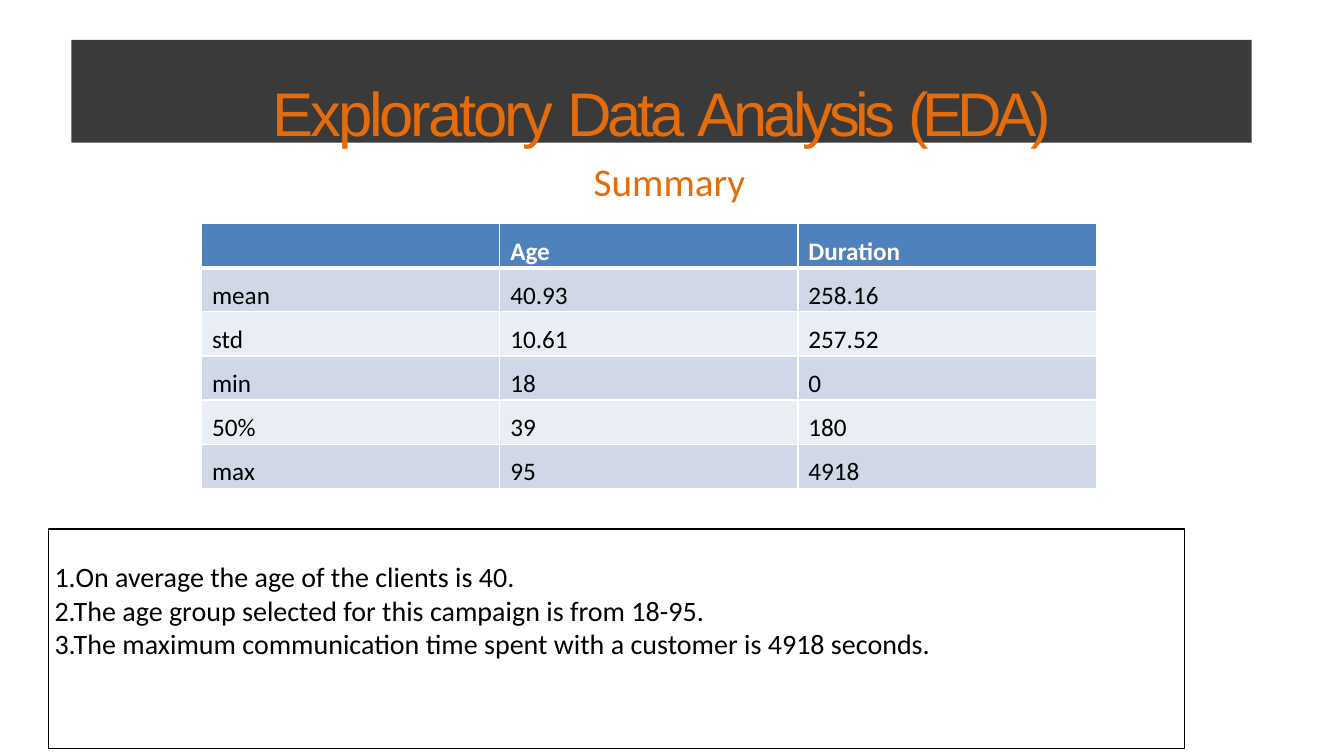
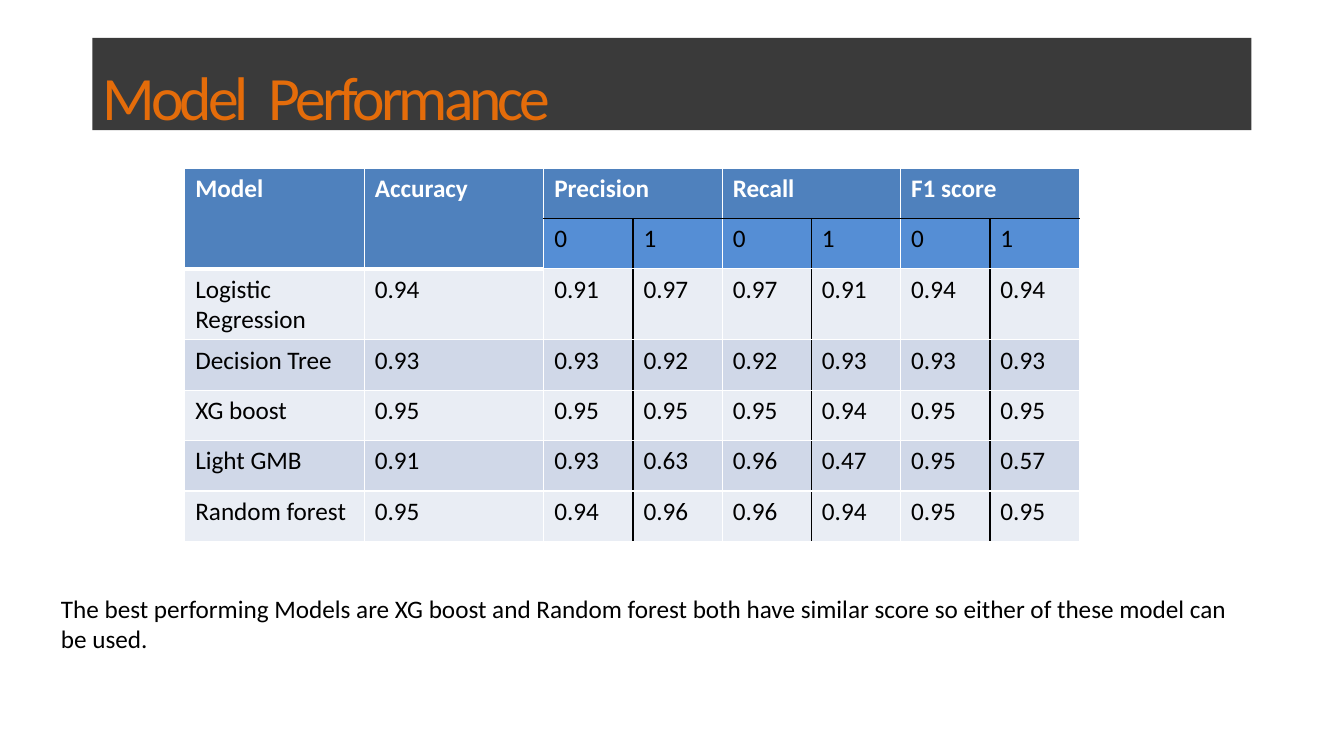
import dataclasses
import typing

import lxml.etree
import pptx
import pptx.dml.color
import pptx.enum.shapes
import pptx.enum.text
import pptx.oxml.ns
import pptx.util

EMU_PER_PX = 9525
ALIGN = pptx.enum.text.PP_ALIGN


@dataclasses.dataclass(frozen=True)
class Theme:
    accent: str = "E46C0A"
    band: str = "3A3A3A"
    ink: str = "000000"
    paper: str = "FFFFFF"
    header: str = "4F81BD"
    subheader: str = "558ED5"
    light_row: str = "E9EDF4"
    dark_row: str = "D0D8E8"
    heading_font: str = "Arial"
    body_font: str = "Calibri"
    title_size: int = 44
    subtitle_size: int = 28
    list_size: int = 20
    body_size: int = 18
    thin: float = 1
    thick: float = 3


THEME = Theme()


class Box(typing.NamedTuple):
    left: int
    top: int
    width: int
    height: int


class Insets(typing.NamedTuple):
    left: int = 10
    top: int = 5
    right: int = 10
    bottom: int = 5


class Span(typing.NamedTuple):
    text: str
    spacing: float = 0


class Edge(typing.NamedTuple):
    color: str = THEME.paper
    width: float = THEME.thin


class Merge(typing.NamedTuple):
    row: int
    column: int
    last_row: int
    last_column: int


@dataclasses.dataclass(frozen=True)
class TextStyle:
    size: int = THEME.body_size
    color: str = THEME.ink
    font: str = THEME.body_font
    bold: bool = False
    align: typing.Any = ALIGN.LEFT


@dataclasses.dataclass(frozen=True)
class TableDesign:
    left: int
    top: int
    columns: list[int]
    row_height: int
    rows: list[list[str]]
    insets: Insets
    band_colors: tuple[str, str]
    header_rows: int = 1
    first_split: int | None = None
    merges: tuple[Merge, ...] = ()

    def is_subheader(self, row: int, column: int) -> bool:
        return (self.first_split is not None and row == 1
                and column >= self.first_split)

    def fill(self, row: int, column: int) -> str:
        if self.is_subheader(row, column):
            return THEME.subheader
        if row < self.header_rows:
            return THEME.header
        return self.band_colors[(row - self.header_rows) % 2]

    def style(self, row: int, column: int) -> TextStyle:
        if row < self.header_rows and not self.is_subheader(row, column):
            return TextStyle(color=THEME.paper, bold=True)
        return TextStyle()

    def edges(self, row: int, column: int) -> dict[str, Edge]:
        """White edges, with a heavy header rule and black lines inside split columns."""
        edges = {side: Edge() for side in ("lnL", "lnR", "lnT", "lnB")}
        black = Edge(THEME.ink)
        if self.first_split is not None and column >= self.first_split:
            if row < 2:
                edges["lnT" if row else "lnB"] = black
            if row:
                is_second = (column - self.first_split) % 2
                edges["lnL" if is_second else "lnR"] = black
        elif row < self.header_rows:
            edges["lnB"] = Edge(width=THEME.thick)
        return edges


def px(length: int) -> pptx.util.Emu:
    return pptx.util.Emu(length * EMU_PER_PX)


def rgb(color: str) -> pptx.dml.color.RGBColor:
    return pptx.dml.color.RGBColor.from_string(color)


def set_insets(target: typing.Any, insets: Insets) -> None:
    for side, length in insets._asdict().items():
        setattr(target, f"margin_{side}", px(length))


def write(frame: typing.Any, paragraphs: list[list[Span]], style: TextStyle) -> None:
    font_format = {"size": pptx.util.Pt(style.size), "name": style.font, "bold": style.bold}
    for index, spans in enumerate(paragraphs):
        paragraph = frame.add_paragraph() if index else frame.paragraphs[0]
        paragraph.alignment = style.align
        for span in spans:
            run = paragraph.add_run()
            run.text = span.text
            for name, value in font_format.items():
                setattr(run.font, name, value)
            run.font.color.rgb = rgb(style.color)
            if span.spacing:
                run.font._element.set("spc", str(round(span.spacing * 100)))


def fill_frame(frame: typing.Any, paragraphs: list[list[Span]], style: TextStyle,
               insets: Insets) -> None:
    frame.word_wrap = True
    frame.vertical_anchor = pptx.enum.text.MSO_ANCHOR.TOP
    set_insets(frame, insets)
    write(frame, paragraphs, style)


def add_panel(slide: typing.Any, box: Box, paragraphs: list[list[Span]], style: TextStyle,
              insets: Insets, fill: str | None = None, outline: str | None = None) -> None:
    panel = slide.shapes.add_shape(pptx.enum.shapes.MSO_SHAPE.RECTANGLE, *map(px, box))
    panel.shadow.inherit = False
    for part, color in ((panel.fill, fill), (panel.line.fill, outline)):
        if color:
            part.solid()
            part.fore_color.rgb = rgb(color)
        else:
            part.background()
    if outline:
        panel.line.width = pptx.util.Pt(THEME.thin)
    fill_frame(panel.text_frame, paragraphs, style, insets)


def add_title(slide: typing.Any, box: Box, spans: list[Span], font: str,
              align: typing.Any, insets: Insets) -> None:
    style = TextStyle(THEME.title_size, THEME.accent, font, align=align)
    add_panel(slide, box, [spans], style, insets, fill=THEME.band)


def add_text(slide: typing.Any, box: Box, text: str, style: TextStyle,
             insets: Insets = Insets()) -> None:
    frame = slide.shapes.add_textbox(*map(px, box)).text_frame
    fill_frame(frame, [[Span(text)]], style, insets)


def draw_edges(cell: typing.Any, edges: dict[str, Edge]) -> None:
    qn = pptx.oxml.ns.qn
    properties = cell._tc.get_or_add_tcPr()
    for side, edge in edges.items():
        line = lxml.etree.SubElement(properties, qn(f"a:{side}"),
                                     w=str(pptx.util.Pt(edge.width)))
        solid = lxml.etree.SubElement(line, qn("a:solidFill"))
        lxml.etree.SubElement(solid, qn("a:srgbClr"), val=edge.color)


def add_table(slide: typing.Any, design: TableDesign) -> None:
    box = Box(design.left, design.top, sum(design.columns),
              design.row_height * len(design.rows))
    table = slide.shapes.add_table(len(design.rows), len(design.columns),
                                   *map(px, box)).table
    table.first_row = table.horz_banding = False
    for column, width in zip(table.columns, design.columns):
        column.width = px(width)
    for row, texts in enumerate(design.rows):
        table.rows[row].height = px(design.row_height)
        for column, text in enumerate(texts):
            cell = table.cell(row, column)
            draw_edges(cell, design.edges(row, column))
            cell.fill.solid()
            cell.fill.fore_color.rgb = rgb(design.fill(row, column))
            set_insets(cell, design.insets)
            if text:
                write(cell.text_frame, [[Span(text)]], design.style(row, column))
            else:
                cell.text_frame.paragraphs[0].font.size = pptx.util.Pt(THEME.body_size)
    for merge in design.merges:
        last = table.cell(merge.last_row, merge.last_column)
        table.cell(merge.row, merge.column).merge(last)


def build_analysis(slide: typing.Any) -> None:
    add_title(slide, Box(68, 38, 1124, 98),
              [Span("Exploratory ", -2.2), Span("Data ", -3.1),
               Span("Analysis ", -3.2), Span("(EDA)", -4.5)],
              THEME.heading_font, ALIGN.CENTER, Insets(0, 33, 0, 0))
    findings = [
        "1.On average the age of the clients is 40.",
        "2.The age group selected for this campaign is from 18-95.",
        "3.The maximum communication time spent with a customer is 4918 seconds.",
    ]
    add_panel(slide, Box(46, 504, 1082, 209), [[Span(finding)] for finding in findings],
              TextStyle(THEME.list_size), Insets(6, 29, 0, 0), outline=THEME.ink)
    add_text(slide, Box(388, 148, 499, 47), "Summary",
             TextStyle(THEME.subtitle_size, THEME.accent, align=ALIGN.CENTER),
             Insets(0, 2, 0, 0))
    statistics = [
        ["", "Age", "Duration"],
        ["mean", "40.93", "258.16"],
        ["std", "10.61", "257.52"],
        ["min", "18", "0"],
        ["50%", "39", "180"],
        ["max", "95", "4918"],
    ]
    add_table(slide, TableDesign(192, 213, [284] * 3, 42, statistics,
                                 Insets(10, 12, 0, 0),
                                 (THEME.dark_row, THEME.light_row)))


def build_performance(slide: typing.Any) -> None:
    add_title(slide, Box(88, 36, 1104, 88),
              [Span("Model", -2.9), Span(" ", 4.2), Span("Performance", -2.9)],
              THEME.body_font, ALIGN.LEFT, Insets(10, 20, 0, 0))
    scores = [
        ["Model", "Accuracy", "Precision", "", "Recall", "", "F1 score", ""],
        ["", ""] + ["0", "1"] * 3,
        ["Logistic Regression", "0.94", "0.91", "0.97", "0.97", "0.91", "0.94", "0.94"],
        ["Decision Tree", "0.93", "0.93", "0.92", "0.92", "0.93", "0.93", "0.93"],
        ["XG boost", "0.95", "0.95", "0.95", "0.95", "0.94", "0.95", "0.95"],
        ["Light GMB", "0.91", "0.93", "0.63", "0.96", "0.47", "0.95", "0.57"],
        ["Random forest", "0.95", "0.94", "0.96", "0.96", "0.94", "0.95", "0.95"],
    ]
    tall = [Merge(0, column, 1, column) for column in (0, 1)]
    wide = [Merge(0, column, 0, column + 1) for column in (2, 4, 6)]
    add_table(slide, TableDesign(176, 160, [171] * 2 + [85] * 6, 48, scores, Insets(),
                                 (THEME.light_row, THEME.dark_row), header_rows=2,
                                 first_split=2, merges=(*tall, *wide)))
    add_text(slide, Box(48, 560, 1144, 68),
             "The best performing Models are XG boost and Random forest both have "
             "similar score so either of these model can be used.", TextStyle())


def main() -> None:
    deck = pptx.Presentation()
    deck.slide_width, deck.slide_height = px(1280), px(720)
    blank = deck.slide_layouts[6]
    for build in (build_analysis, build_performance):
        build(deck.slides.add_slide(blank))
    deck.save("out.pptx")


if __name__ == "__main__":
    main()
